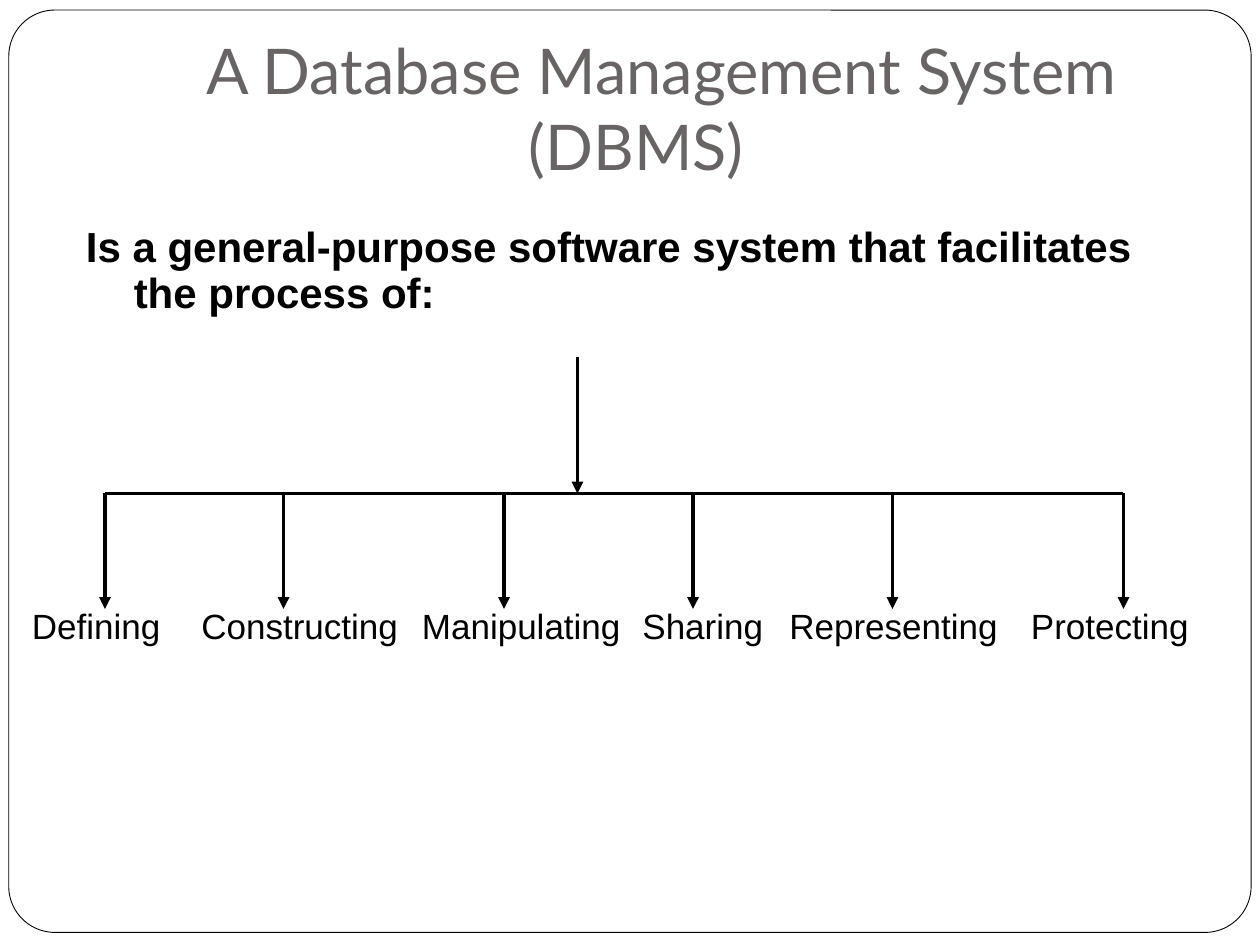
from pptx import Presentation
from pptx.dml.color import RGBColor
from pptx.enum.shapes import MSO_CONNECTOR, MSO_SHAPE
from pptx.enum.text import MSO_ANCHOR, PP_ALIGN
from pptx.oxml.ns import qn
from pptx.util import Inches, Pt
from lxml.etree import SubElement

COLORS = {"paper": "FFFFFF", "ink": "000000", "title": "696464"}

deck = Presentation()
deck.slide_width, deck.slide_height = Inches(10), Inches(7.5)
page = deck.slides.add_slide(deck.slide_layouts[6])

# The slide is a grid of 120 columns by 90 rows of square cells.
CELL = deck.slide_width / 120
BAR_ROW, TIP_ROW, LABEL_ROW = 47, 58, 57


def add_line(start, end, arrow=True):
    """Draw a black line between two (column, row) points."""
    points = [round(value * CELL) for value in (*start, *end)]
    line = page.shapes.add_connector(MSO_CONNECTOR.STRAIGHT, *points)
    line.line.width = Pt(2.25)
    line.line.color.rgb = RGBColor.from_string(COLORS["ink"])
    if arrow:
        SubElement(line.line._get_or_add_ln(), qn("a:tailEnd"), type="triangle")
    SubElement(line._element.spPr, qn("a:effectLst"))


def add_text(text, column, row, columns, rows, size, font="Arial",
             color="ink", bold=False, margin=0.38, indent=-0.38):
    """Add a one-paragraph text box; margin and indent are in inches."""
    box = page.shapes.add_textbox(
        *[round(value * CELL) for value in (column, row, columns, rows)])
    frame = box.text_frame
    frame.word_wrap = True
    frame.text = text
    para = frame.paragraphs[0]
    properties = para._p.get_or_add_pPr()
    properties.set("marL", str(Inches(margin)))
    properties.set("indent", str(Inches(indent)))
    span = para.runs[0]
    span.font.name = font
    span.font.size = Pt(size)
    span.font.bold = bold
    span.font.color.rgb = RGBColor.from_string(COLORS[color])
    return frame


border = page.shapes.add_shape(
    MSO_SHAPE.ROUNDED_RECTANGLE,
    Inches(0.07), Inches(0.08), Inches(9.86), Inches(7.32))
border.adjustments[0] = 0.05
border.shadow.inherit = False
border.fill.solid()
border.fill.fore_color.rgb = RGBColor.from_string(COLORS["paper"])
border.line.color.rgb = RGBColor.from_string(COLORS["ink"])
border.line.width = Pt(0.5)

# The wide right inset and the indent set the second title line to the left.
title = add_text("A Database Management System (DBMS)", 12, 3.6, 102, 15, 36,
                 font="Lato", color="title", margin=0, indent=0.4)
title.vertical_anchor = MSO_ANCHOR.BOTTOM
title.margin_bottom = Inches(0.1)
title.margin_right = Inches(0.5)
title.paragraphs[0].alignment = PP_ALIGN.CENTER

intro = add_text(
    "Is a general-purpose software system that facilitates the process of:",
    7, 21, 106, 9.8, 24, bold=True)
intro.paragraphs[0].line_spacing = 0.9

# Each process: label, arrow column, label column, label width in columns
processes = [
    ("Defining", 10, 1.85, 18),
    ("Constructing", 27, 18, 24),
    ("Manipulating", 48, 39, 24),
    ("Sharing", 66, 60, 16),
    ("Representing", 85, 74, 25),
    ("Protecting", 107, 97, 20),
]

add_line((55, 34), (55, BAR_ROW))
add_line((processes[0][1], BAR_ROW), (processes[-1][1], BAR_ROW), arrow=False)
for label, arrow_column, label_column, columns in processes:
    add_line((arrow_column, BAR_ROW), (arrow_column, TIP_ROW))
    add_text(label, label_column, LABEL_ROW, columns, 5.25, 20)

deck.save("out.pptx")
